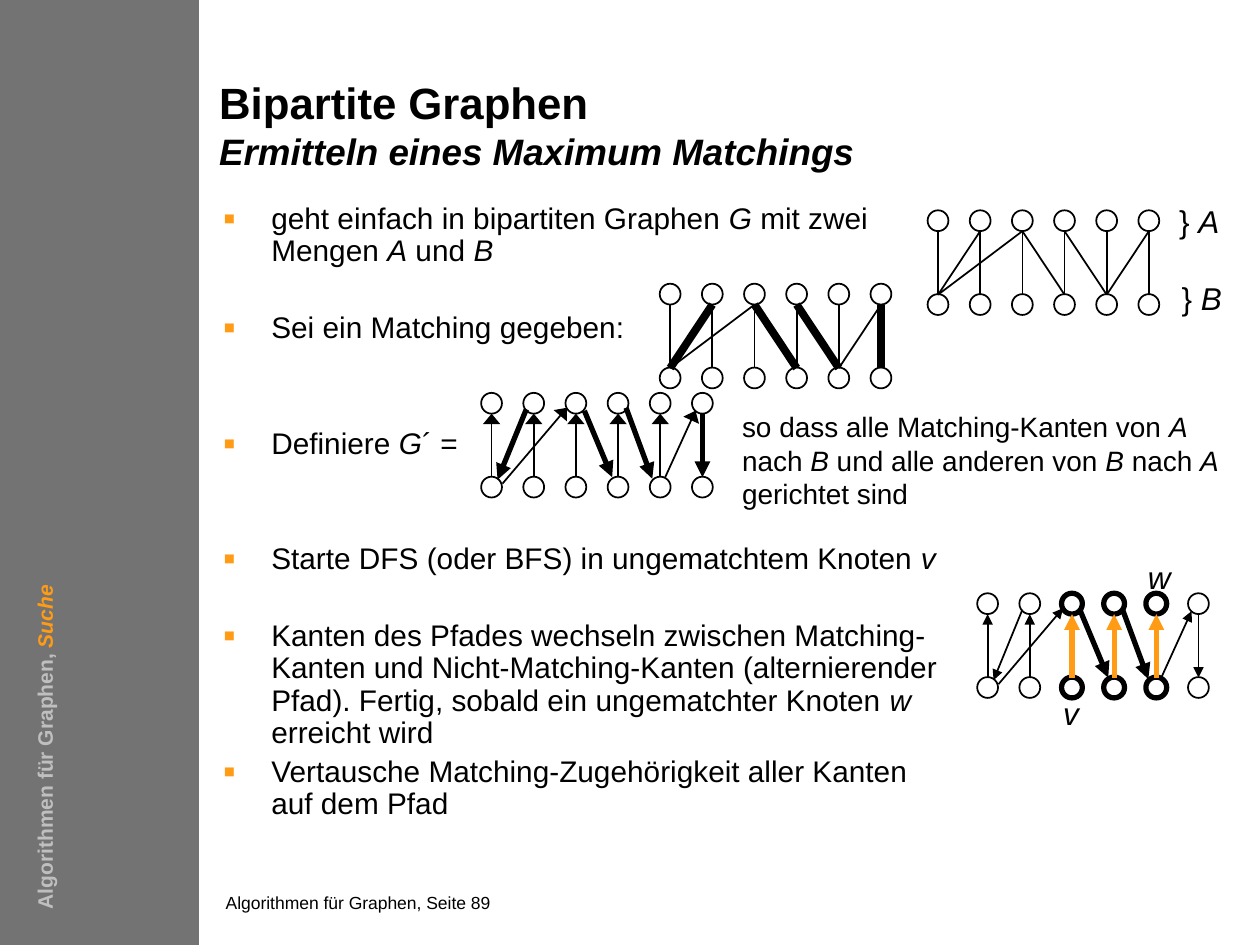
from lxml.etree import SubElement as Sub
from pptx import Presentation
from pptx.dml.color import RGBColor as Rgb
from pptx.enum.shapes import MSO_CONNECTOR as Link, MSO_SHAPE as Shape
from pptx.oxml.ns import qn
from pptx.util import Cm, Pt

BLACK, WHITE, GREY, SILVER, ORANGE = "000000", "FFFFFF", "737373", "BFBFBF", "FF9B14"
DIA, STEP, DROP, COLS = 0.42, 0.85, 1.7, 6
ITALIC = {"italic": True}


def tone(code):
    return Rgb.from_string(code)


def mid(col):
    return col * STEP + DIA / 2


class Deck:
    """Holds the style and the current slide, and draws each kind of element."""

    def __init__(self):
        self.file = Presentation()
        self.file.slide_width, self.file.slide_height = Cm(25.4), Cm(19.05)
        self.slide = self.file.slides.add_slide(self.file.slide_layouts[6])
        self.base = {"name": "Arial", "bold": False, "italic": False}

    def panel(self, x, y, w, h, fill):
        item = self.slide.shapes.add_shape(Shape.RECTANGLE, Cm(x), Cm(y), Cm(w), Cm(h))
        item.shadow.inherit = False
        item.fill.solid()
        item.fill.fore_color.rgb = tone(fill)
        item.line.fill.background()

    def style(self, font, look, color):
        for name, value in look.items():
            setattr(font, name, value)
        font.color.rgb = tone(color)

    def bullet(self, para):
        props = para._p.get_or_add_pPr()
        props.set("marL", str(Cm(0.97)))
        props.set("indent", str(-Cm(0.97)))
        Sub(Sub(props, qn("a:buClr")), qn("a:srgbClr"), val=ORANGE)
        Sub(props, qn("a:buSzPct"), val="120000")
        Sub(props, qn("a:buFont"), typeface="Arial")
        Sub(props, qn("a:buChar"), char="▪")

    def text(self, x, y, w, h, lines, size, look=None, other=ITALIC, color=BLACK,
             accent=BLACK, pad=True, wrap=True, lead=None, gaps=None, turn=0, host=None):
        item = (host or self.slide).shapes.add_textbox(Cm(x), Cm(y), Cm(w), Cm(h))
        item.rotation = turn
        frame = item.text_frame
        frame.word_wrap = wrap
        if not pad:
            for side in ("left", "right", "top", "bottom"):
                setattr(frame, f"margin_{side}", 0)
        plain = {**self.base, "size": Pt(size), **(look or {})}
        for row, line in enumerate(lines):
            para = frame.add_paragraph() if row else frame.paragraphs[0]
            if gaps:
                self.bullet(para)
                para.space_before = Pt(gaps[row])
            if lead:
                para.line_spacing = lead
            for part, words in enumerate(line.split("*")):
                if words:
                    run = para.add_run()
                    run.text = words
                    odd = part % 2
                    self.style(run.font, {**plain, **other} if odd else plain,
                               accent if odd else color)

    def node(self, host, x, y, width):
        item = host.shapes.add_shape(Shape.OVAL, Cm(x), Cm(y), Cm(DIA), Cm(DIA))
        item.shadow.inherit = False
        item.fill.background()
        item.line.color.rgb = tone(BLACK)
        item.line.width = Pt(width)

    def edge(self, host, ends, width, color=BLACK, head=None):
        item = host.shapes.add_connector(Link.STRAIGHT, *map(Cm, ends))
        item.line.color.rgb = tone(color)
        item.line.width = Pt(width)
        props = item._element.spPr
        if head:
            Sub(props.find(qn("a:ln")), qn("a:tailEnd"), type="triangle", w=head, len="med")
        Sub(props, qn("a:effectLst"))

    def graph(self, x, y, slants, thick=1, posts=(), bars=(), rings=(), tint=BLACK, head=None):
        host = self.slide.shapes.add_group_shape()
        for top in (y, y + DROP - 0.01):
            for col in range(COLS):
                self.node(host, x + col * STEP, top, thick if col in rings else 1)
        for col in range(COLS):
            heavy = col in posts
            start, end = (DIA, DROP) if col == COLS - 1 else (DROP, DIA)
            self.edge(host, (x + mid(col), y + start, x + mid(col), y + end),
                      thick if heavy else 1, tint if heavy else BLACK,
                      head and ("med" if heavy else head))
        for rank, (left, top, right, low) in enumerate(slants):
            heavy = rank in bars
            self.edge(host, (x + left, y + top, x + right, y + low), thick if heavy else 1,
                      head=head and ("med" if heavy else head))
        return host


def main():
    deck = Deck()
    deck.panel(0, 0, 4.01, 19.05, GREY)
    deck.text(4.55, 17.98, 12.34, 0.53, ["Algorithmen für Graphen, Seite 89"], 10, pad=False)
    deck.text(4.42, 1.7, 12.95, 1.9,
              ["Bipartite Graphen", "*Ermitteln eines Maximum Matchings*"], 25,
              {"bold": True}, {"italic": True, "size": Pt(21)}, pad=False, lead=Pt(25.4))
    deck.text(4.5, 4.11, 14.6, 13.61, [
        "geht einfach in bipartiten Graphen *G* mit zwei Mengen *A* und *B*",
        "Sei ein Matching gegeben:",
        "Definiere *G*´ =",
        "Starte DFS (oder BFS) in ungematchtem Knoten *v*",
        "Kanten des Pfades wechseln zwischen Matching-Kanten und Nicht-Matching-Kanten "
        "(alternierender Pfad). Fertig, sobald ein ungematchter Knoten *w* erreicht wird",
        "Vertausche Matching-Zugehörigkeit aller Kanten auf dem Pfad",
    ], 17, pad=False, lead=0.9, gaps=(0, 25.8, 47.5, 47.5, 25.8, 4.1))

    pairs = ((1, 0), (2, 0), (2, 3), (3, 4), (5, 4))
    plain = [(mid(top), DIA, mid(low), DROP) for top, low in pairs]
    aimed = [(0.91, 0.33, 0.33, 1.75), (0.43, 1.83, 1.73, 0.3), (2.08, 0.36, 2.64, 1.7),
             (2.92, 0.3, 3.45, 1.73), (3.71, 1.7, 4.32, 0.36)]
    path = (2, 3, 4)
    sets = deck.graph(18.7, 4.24, plain)
    deck.graph(13.3, 5.72, plain, 4.5, posts=(5,), bars=(0, 2, 3))
    deck.graph(9.7, 7.92, aimed, 3, posts=(5,), bars=(0, 2, 3), head="lg")
    walk = deck.graph(19.7, 11.96, aimed, 3, posts=path, bars=(2, 3), rings=path,
                      tint=ORANGE, head="med")
    for host, x, y, w, label in ((sets, 23.52, 3.94, 1.32, "} *A*"),
                                 (sets, 23.57, 5.51, 1.32, "} *B*"),
                                 (walk, 22.89, 11.13, 0.97, "*w*"),
                                 (walk, 21.18, 13.87, 0.84, "*v*")):
        deck.text(x, y, w, 1.02, [label], 18, wrap=False, host=host)

    deck.text(14.71, 8.13, 10.24, 2.79,
              ["so dass alle Matching-Kanten von *A* nach *B* und alle anderen "
               "von *B* nach *A* gerichtet sind"], 16)
    deck.text(-5.03, 12.27, 11.86, 0.76, ["Algorithmen für Graphen, *Suche*"], 12,
              {"bold": True}, color=SILVER, accent=ORANGE, turn=270)
    deck.file.save("out.pptx")


if __name__ == "__main__":
    main()
